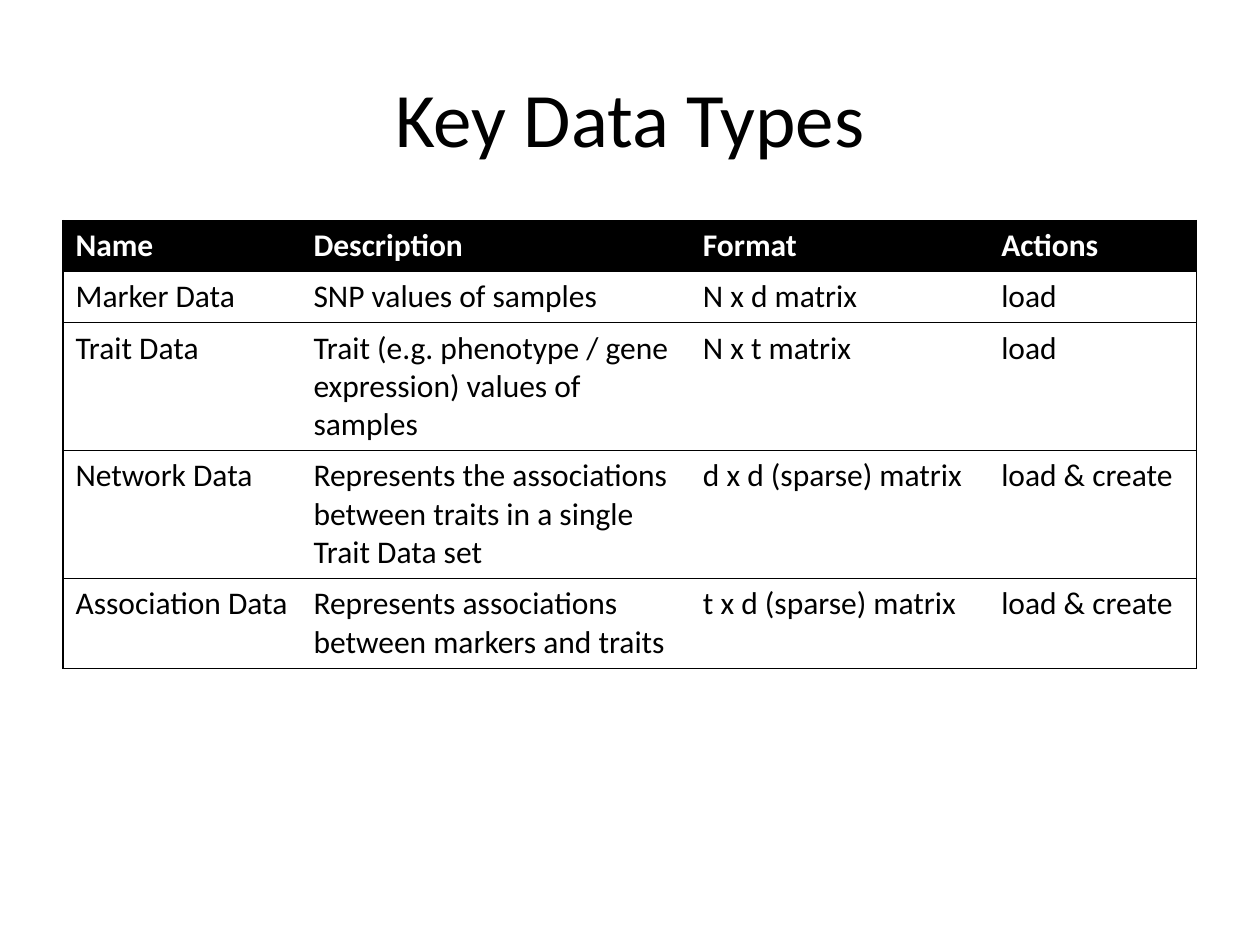
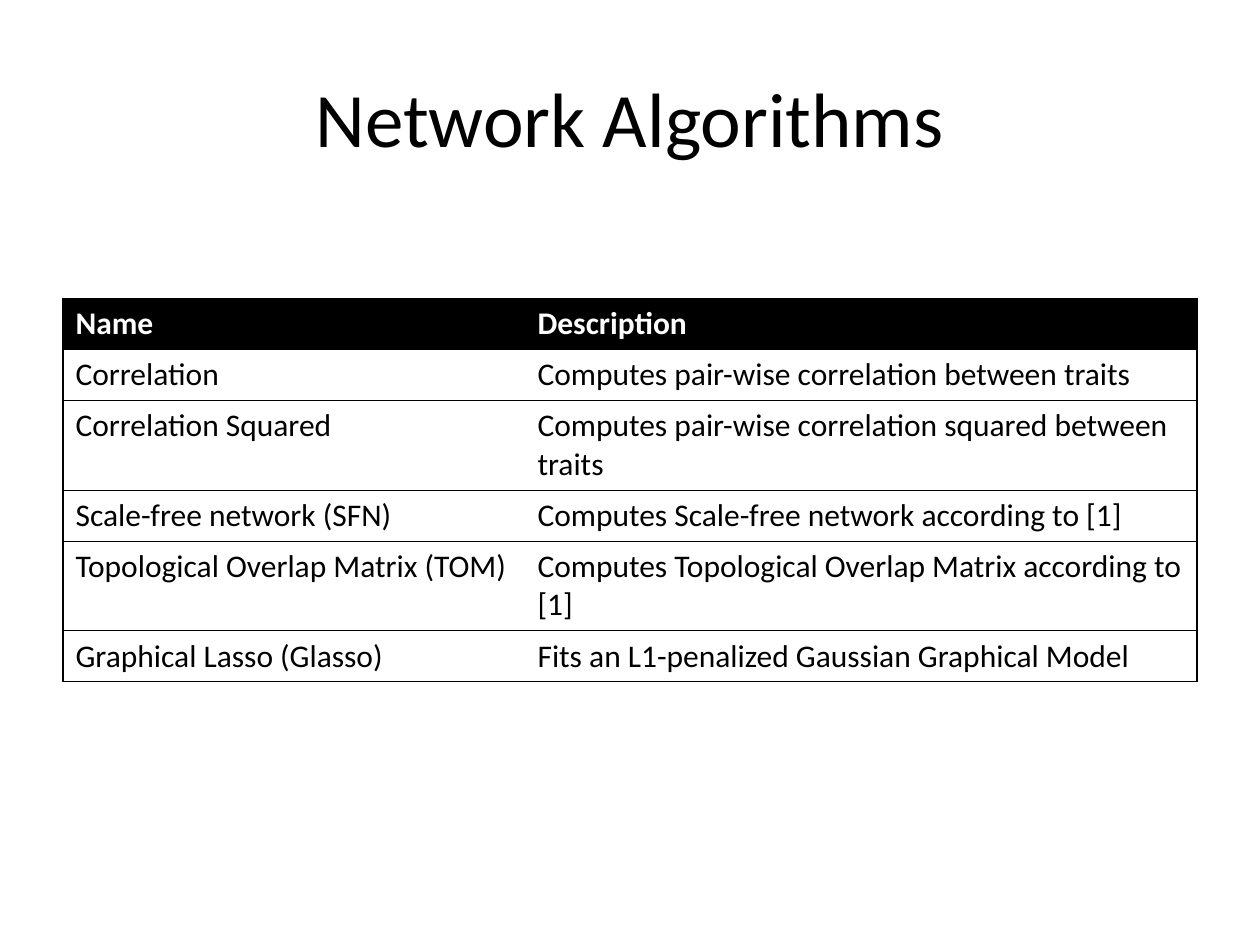
import pptx
import pptx.util
import pptx.dml.color
import pptx.enum.text
import pptx.oxml.ns
import lxml.etree

Pt = pptx.util.Pt

SLIDES = [
    {
        "title": "Key Data Types",
        "top": 126,
        "cols": [136, 222.5, 170.5, 119],
        "rows": [
            ("Name", "Description", "Format", "Actions"),
            ("Marker Data", "SNP values of samples", "N x d matrix", "load"),
            ("Trait Data",
             "Trait (e.g. phenotype / gene expression) values of samples",
             "N x t matrix", "load"),
            ("Network Data",
             "Represents the associations between traits in a single Trait Data set",
             "d x d (sparse) matrix", "load & create"),
            ("Association Data",
             "Represents associations between markers and traits",
             "t x d (sparse) matrix", "load & create"),
        ],
    },
    {
        "title": "Network Algorithms",
        "top": 170.5,
        "cols": [264, 384],
        "rows": [
            ("Name", "Description"),
            ("Correlation", "Computes pair-wise correlation between traits"),
            ("Correlation Squared",
             "Computes pair-wise correlation squared between traits"),
            ("Scale-free network (SFN)",
             "Computes Scale-free network according to [1]"),
            ("Topological Overlap Matrix (TOM)",
             "Computes Topological Overlap Matrix according to [1]"),
            ("Graphical Lasso (Glasso)",
             "Fits an L1-penalized Gaussian Graphical Model"),
        ],
    },
]

COLORS = {"ink": "000000", "paper": "FFFFFF"}
FONT = "Calibri"
WIDTH, HEIGHT = 720, 540
LEFT, SPAN = 36, 648
TITLE_TOP, TITLE_HIGH = 21.6, 90
ROW = 29.2
RULE = 0.75


def style(para, size, color, bold=False):
    for run in para.runs:
        font = run.font
        font.name, font.size, font.bold = FONT, Pt(size), bold
        font.color.rgb = pptx.dml.color.RGBColor.from_string(COLORS[color])


def border(cell, sides):
    """Rule the given sides of a cell and clear the others."""
    qn = pptx.oxml.ns.qn
    props = cell._tc.get_or_add_tcPr()
    for side in "LRTB":
        line = lxml.etree.SubElement(props, qn("a:ln" + side), w=str(Pt(RULE)))
        if side in sides:
            fill = lxml.etree.SubElement(line, qn("a:solidFill"))
            lxml.etree.SubElement(fill, qn("a:srgbClr"), val=COLORS["ink"])
        else:
            lxml.etree.SubElement(line, qn("a:noFill"))


def add_title(slide, text):
    title = slide.shapes.title
    title.left, title.top = Pt(LEFT), Pt(TITLE_TOP)
    title.width, title.height = Pt(SPAN), Pt(TITLE_HIGH)
    frame = title.text_frame
    frame.text = text
    frame.vertical_anchor = pptx.enum.text.MSO_ANCHOR.MIDDLE
    para = frame.paragraphs[0]
    para.alignment = pptx.enum.text.PP_ALIGN.CENTER
    style(para, 44, "ink")


def add_grid(slide, top, cols, rows):
    grid = slide.shapes.add_table(
        len(rows), len(cols), Pt(LEFT), Pt(top), Pt(SPAN), Pt(ROW * len(rows))
    ).table
    grid.horz_banding = False
    for col, width in zip(grid.columns, cols):
        col.width = Pt(width)
    for r, texts in enumerate(rows):
        grid.rows[r].height = Pt(ROW)
        head = r == 0
        for c, text in enumerate(texts):
            cell = grid.cell(r, c)
            cell.text_frame.text = text
            style(cell.text_frame.paragraphs[0], 18,
                  "paper" if head else "ink", head)
            sides = "TB"
            if c == 0:
                sides += "L"
            if c == len(cols) - 1:
                sides += "R"
            border(cell, sides)
            if head:
                cell.fill.solid()
                cell.fill.fore_color.rgb = pptx.dml.color.RGBColor.from_string(
                    COLORS["ink"])
            else:
                cell.fill.background()


def main():
    deck = pptx.Presentation()
    deck.slide_width, deck.slide_height = Pt(WIDTH), Pt(HEIGHT)
    layout = deck.slide_layouts.get_by_name("Title Only")
    for item in SLIDES:
        slide = deck.slides.add_slide(layout)
        add_title(slide, item["title"])
        add_grid(slide, item["top"], item["cols"], item["rows"])
    deck.save("out.pptx")


if __name__ == "__main__":
    main()
